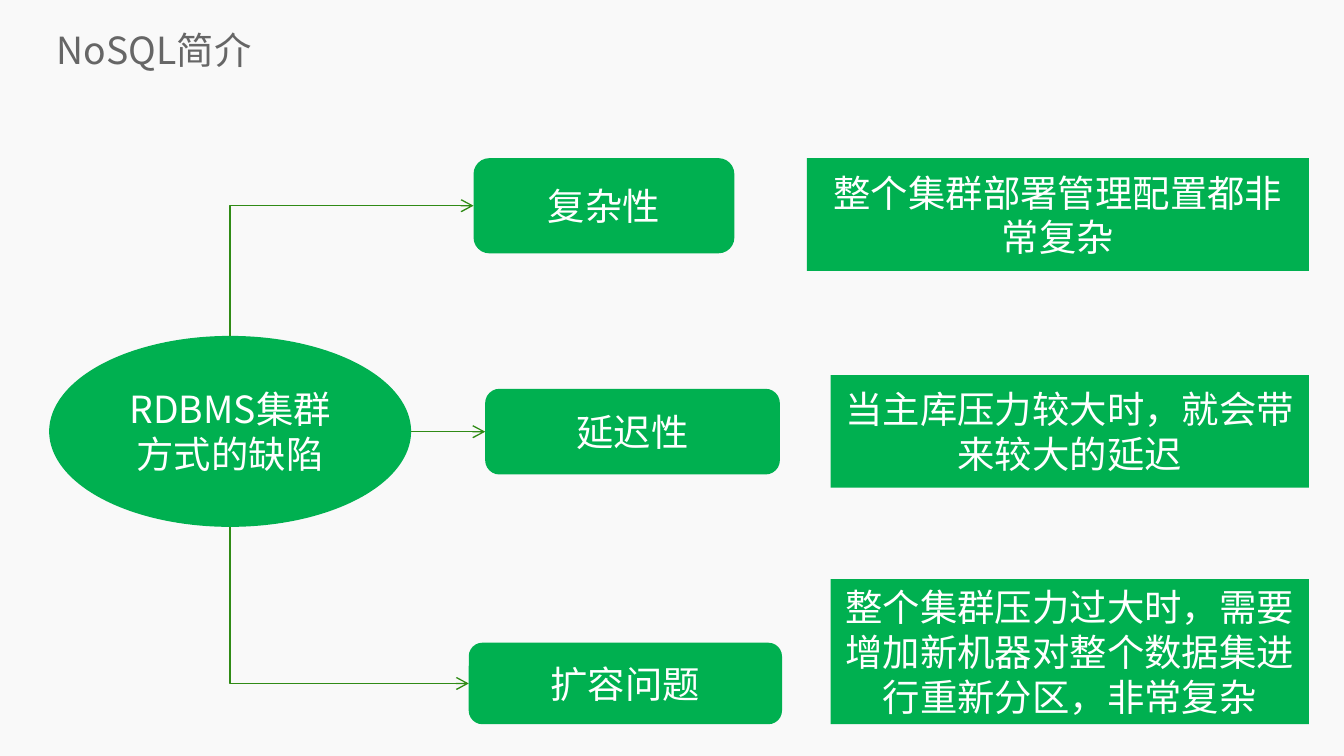
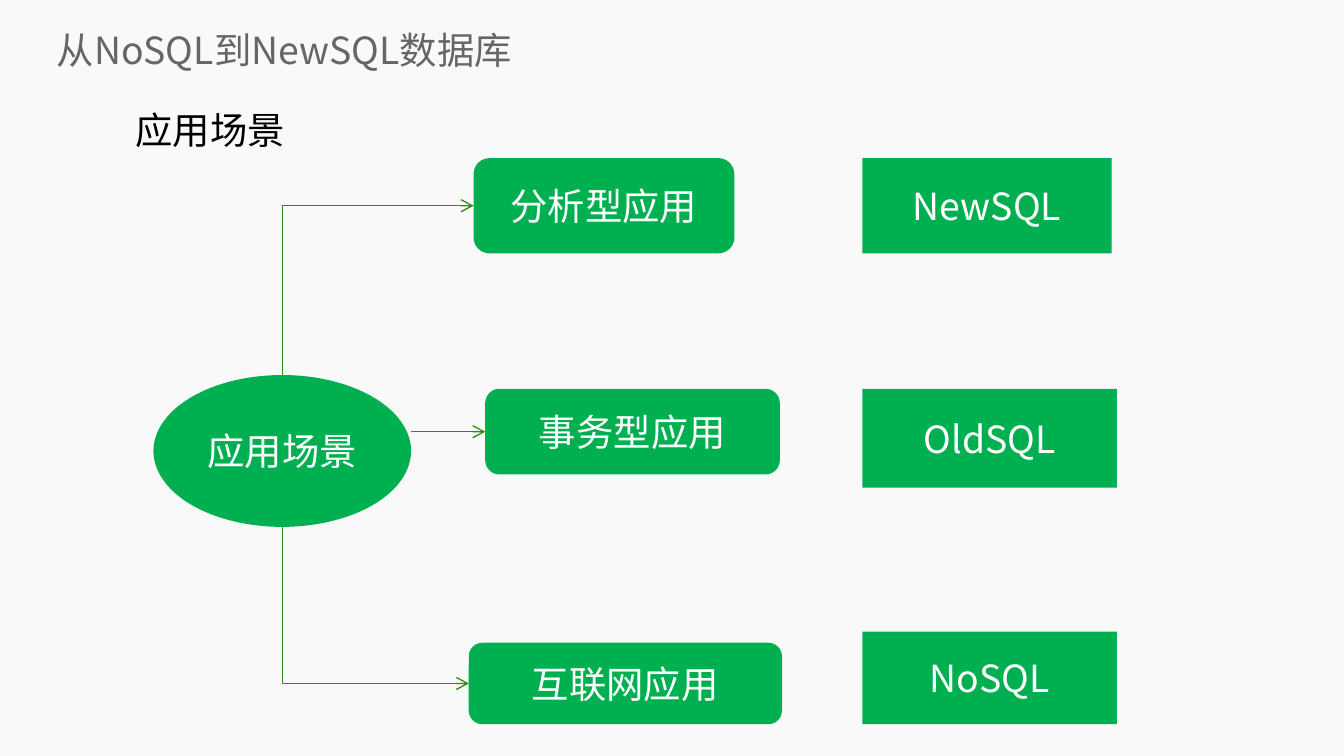
from lxml.etree import SubElement
from pptx import Presentation
from pptx.dml.color import RGBColor as RGB
from pptx.enum.shapes import MSO_CONNECTOR as Conn, MSO_SHAPE as Shape
from pptx.enum.text import MSO_ANCHOR as Anchor, MSO_AUTO_SIZE as AutoSize, PP_ALIGN as Align
from pptx.oxml.ns import qn
from pptx.util import Cm, Pt

COLORS = {
    "background": "F9F9F9",
    "title": "666666",
    "box": "00B050",
    "arrow": "308B16",
    "light": "FFFFFF",
    "dark": "000000",
}
FONT = "Noto Sans CJK SC"
TITLE_AREA = (1.07, 0.46, 23.95, 0.97)
ARROW_START = 7.77

# Middle column, the same on every slide: left, top, width, height in cm
BRANCHES = [
    (8.95, 2.99, 4.93, 1.8),
    (9.17, 7.35, 5.57, 1.62),
    (8.86, 12.15, 5.92, 1.54),
]


class Deck:
    """Holds the style and the current slide."""

    def __init__(self):
        self.prs = Presentation()
        self.prs.slide_width, self.prs.slide_height = Cm(25.4), Cm(14.29)
        fill = self.prs.slide_master.background.fill
        fill.solid()
        fill.fore_color.rgb = self.color("background")
        self.s = None

    def color(self, name):
        return RGB.from_string(COLORS[name])

    def set_text(self, sp, text, color, align=Align.CENTER, anchor=Anchor.MIDDLE):
        tf = sp.text_frame
        tf.word_wrap, tf.vertical_anchor = True, anchor
        p = tf.paragraphs[0]
        p.text, p.alignment = text, align
        p.font.name, p.font.size = FONT, Pt(20)
        p.font.color.rgb = self.color(color)
        # East Asian face
        SubElement(p._p.pPr.defRPr, qn("a:ea"), typeface=FONT)
        return tf

    def slide(self, title):
        self.s = self.prs.slides.add_slide(self.prs.slide_layouts[5])
        sp = self.s.shapes.title
        sp.left, sp.top, sp.width, sp.height = map(Cm, TITLE_AREA)
        tf = self.set_text(sp, title, "title", Align.LEFT)
        tf.auto_size = AutoSize.NONE
        tf.margin_left = tf.margin_top = tf.margin_right = tf.margin_bottom = 0

    def box(self, kind, area, text):
        sp = self.s.shapes.add_shape(kind, *map(Cm, area))
        sp.shadow.inherit = False
        sp.fill.solid()
        sp.fill.fore_color.rgb = self.color("box")
        sp.line.fill.background()
        self.set_text(sp, text, "light")
        return sp

    def label(self, area, text):
        sp = self.s.shapes.add_textbox(*map(Cm, area))
        self.set_text(sp, text, "dark", Align.LEFT, Anchor.TOP)

    def arrow(self, kind, x1, y1, x2, y2):
        line = self.s.shapes.add_connector(kind, x1, y1, x2, y2)
        line.line.color.rgb = self.color("arrow")
        line.line.width = Pt(0.75)
        spPr = line._element.spPr
        SubElement(spPr.find(qn("a:ln")), qn("a:tailEnd"), type="arrow")
        SubElement(spPr, qn("a:effectLst"))
        return line

    def straight(self, target):
        y = target.top + target.height // 2
        line = self.arrow(Conn.STRAIGHT, Cm(ARROW_START), y, target.left, y)
        line.end_connect(target, 1)

    def bent(self, hub, target):
        """One-bend arrow from the hub's top or bottom to the target's left side."""
        x1, x2 = hub.left + hub.width // 2, target.left
        y2 = target.top + target.height // 2
        up = y2 < hub.top
        y1 = hub.top if up else hub.top + hub.height
        # The frame is turned a quarter, so its width is the rise
        w, h = abs(y2 - y1), x2 - x1
        left, top = (x1 + x2 - w) // 2, (y1 + y2 - h) // 2
        line = self.arrow(Conn.ELBOW, left, top, left + w, top + h)
        spPr = line._element.spPr
        spPr.find(qn("a:prstGeom")).set("prst", "bentConnector2")
        xfrm = spPr.find(qn("a:xfrm"))
        xfrm.set("rot", str((90 if up else 270) * 60000))
        xfrm.set("flipH", "1")
        if up:
            xfrm.set("flipV", "1")

    def diagram(self, hub_area, hub_text, branch_texts, notes):
        hub = self.box(Shape.OVAL, hub_area, hub_text)
        upper, middle, lower = [
            self.box(Shape.ROUNDED_RECTANGLE, area, text)
            for area, text in zip(BRANCHES, branch_texts)
        ]
        self.bent(hub, upper)
        self.straight(middle)
        self.bent(hub, lower)
        for area, text in notes:
            self.box(Shape.RECTANGLE, area, text)


def main():
    deck = Deck()

    # Weak points of clusters
    deck.slide("NoSQL简介")
    deck.diagram(
        (0.93, 6.35, 6.84, 3.61), "RDBMS集群方式的缺陷",
        ["复杂性", "延迟性", "扩容问题"],
        [
            ((15.25, 2.99, 9.49, 2.13), "整个集群部署管理配置都非常复杂"),
            ((15.7, 7.09, 9.04, 2.13), "当主库压力较大时，就会带来较大的延迟"),
            ((15.7, 10.95, 9.04, 2.74),
             "整个集群压力过大时，需要增加新机器对整个数据集进行重新分区，非常复杂"),
        ],
    )

    # Use cases and their databases
    deck.slide("从NoSQL到NewSQL数据库")
    deck.diagram(
        (2.9, 7.09, 4.87, 2.87), "应用场景",
        ["分析型应用", "事务型应用", "互联网应用"],
        [
            ((16.3, 2.99, 4.71, 1.8), "NewSQL"),
            ((16.3, 7.35, 4.81, 1.87), "OldSQL"),
            ((16.3, 11.94, 4.81, 1.75), "NoSQL"),
        ],
    )
    deck.label((2.31, 1.9, 9.4, 1.12), "应用场景")

    deck.prs.save("out.pptx")


if __name__ == "__main__":
    main()
